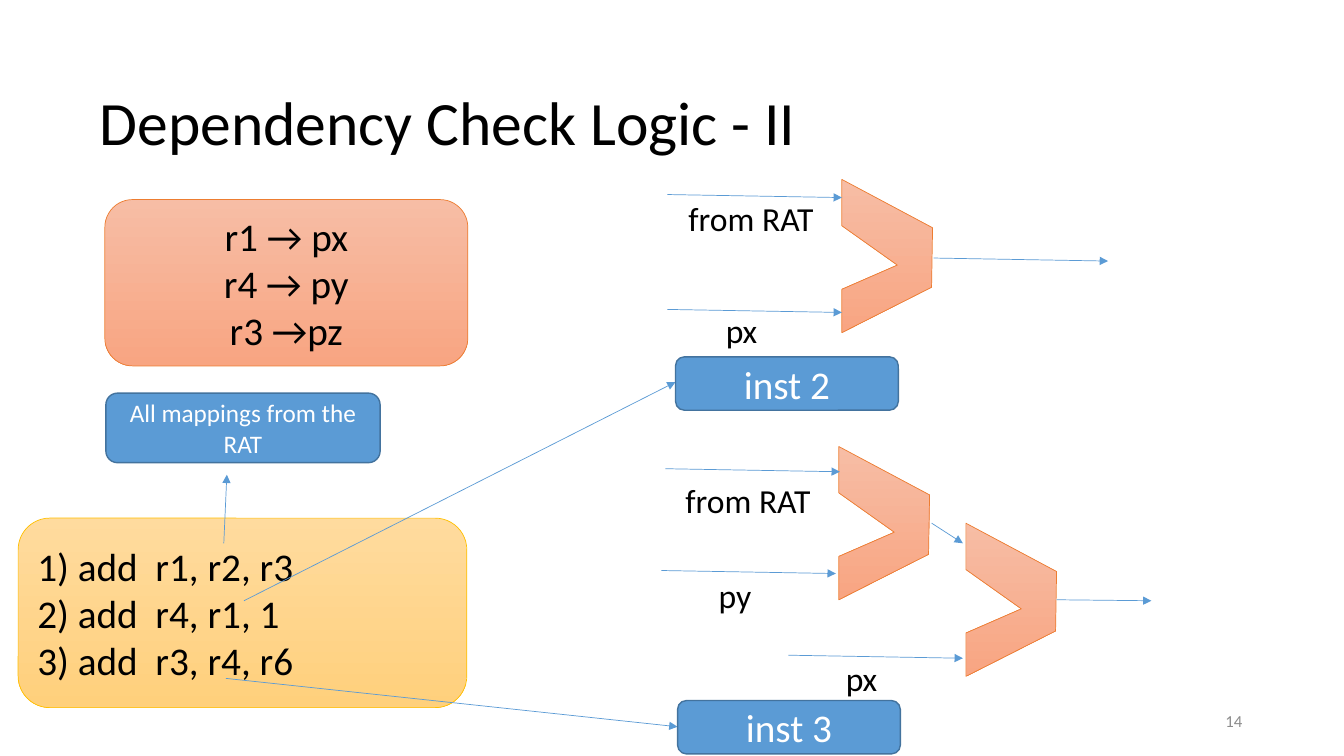
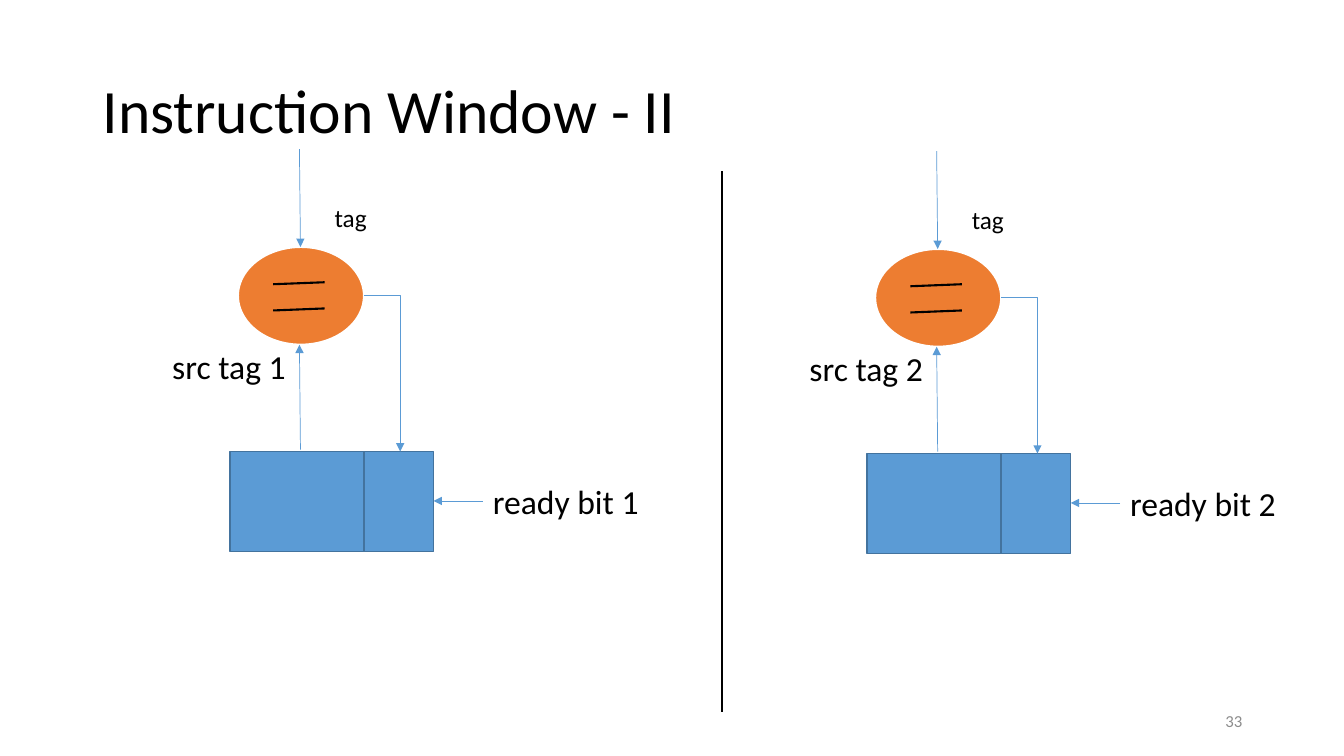
from pptx import Presentation
from pptx.dml.color import RGBColor
from pptx.enum.shapes import MSO_CONNECTOR, MSO_SHAPE
from pptx.enum.text import MSO_ANCHOR, PP_ALIGN
from pptx.oxml.ns import qn
from pptx.util import Inches, Pt
from lxml import etree

ROUND, RECT, OVAL = MSO_SHAPE.ROUNDED_RECTANGLE, MSO_SHAPE.RECTANGLE, MSO_SHAPE.OVAL
LINE, ELBOW = MSO_CONNECTOR.STRAIGHT, MSO_CONNECTOR.ELBOW
TOP, MID = MSO_ANCHOR.TOP, MSO_ANCHOR.MIDDLE
LEFT, MIDDLE, RIGHT = PP_ALIGN.LEFT, PP_ALIGN.CENTER, PP_ALIGN.RIGHT

HEX = {"black": "000000", "white": "FFFFFF", "grey": "8C8C8C",
       "blue": "5B9BD5", "navy": "43739E", "orange": "ED7D31", "gold": "FFC000",
       "peach": "F7BDA5", "coral": "F8A582", "cream": "FFDB9E", "amber": "FFD07C"}
FONT = "Calibri"

# Grid: one column and one row are an inch each
COLS, ROWS = 13.33, 7.5


def cells(*nums):
    return [Inches(n) for n in nums]


def color(name):
    return RGBColor.from_string(HEX[name])


# Shared parts
def write(shape, text, size=24, ink="black", align=LEFT, anchor=TOP, wrap=True, lead=None):
    frame = shape.text_frame
    frame.word_wrap = wrap
    frame.vertical_anchor = anchor
    frame.text = text
    for para in frame.paragraphs:
        para.alignment = align
        para.line_spacing = lead
        font = para.runs[0].font
        font.name, font.size = FONT, Pt(size)
        font.color.rgb = color(ink)


def label(slide, box, text, **form):
    write(slide.shapes.add_textbox(*cells(*box)), text, **form)


def paint(shape, fill, edge, width):
    shape.shadow.inherit = False
    if isinstance(fill, tuple):
        shape.fill.gradient()
        shape.fill.gradient_angle = 270
        for stop, name in zip(shape.fill.gradient_stops, fill):
            stop.color.rgb = color(name)
    else:
        shape.fill.solid()
        shape.fill.fore_color.rgb = color(fill)
    shape.line.color.rgb = color(edge)
    shape.line.width = Pt(width)


def block(slide, kind, box, fill="blue", edge="navy", width=1, text=None, **form):
    shape = slide.shapes.add_shape(kind, *cells(*box))
    paint(shape, fill, edge, width)
    if text:
        write(shape, text, anchor=MID, **form)


def link(slide, *ends, ink="blue", width=0.5, arrow=True, kind=LINE):
    wire = slide.shapes.add_connector(kind, *cells(*ends))
    wire.line.color.rgb = color(ink)
    wire.line.width = Pt(width)
    props = wire._element.spPr
    if kind == ELBOW:
        props.find(qn("a:prstGeom")).set("prst", "bentConnector2")
    if arrow:
        etree.SubElement(wire.line._get_or_add_ln(), qn("a:tailEnd"), type="triangle")
    etree.SubElement(props, qn("a:effectLst"))


def page(deck, title, x, y, num):
    slide = deck.slides.add_slide(deck.slide_layouts[6])
    label(slide, (x, y, 11.5, 1.45), title, size=44, anchor=MID, lead=0.9)
    label(slide, (9.42, 6.95, 3, 0.4), num, size=12, ink="grey", align=RIGHT, anchor=MID)
    return slide


# Dependency check: multiplexer and its inputs
def mux(slide, x, y):
    rim = [(0, 0), (0, 0.46), (0.55, 0.85), (0, 1.09),
           (0, 1.52), (0.89, 1.07), (0.9, 0.48)]
    dots = [cells(x + dx, y + dy) for dx, dy in rim]
    pen = slide.shapes.build_freeform(*dots[0])
    pen.add_line_segments(dots[1:], close=True)
    paint(pen.convert_to_shape(), ("peach", "coral"), "orange", 0.5)


def feed(slide, x, y, text, dx, dy, wide):
    link(slide, x, y, x + 1.73, y + 0.03)
    label(slide, (x + dx, y + dy, wide, 0.5), text, wrap=False)


def checks(slide):
    for spot in [(8.35, 1.78), (8.32, 4.43), (9.58, 5.19)]:
        mux(slide, *spot)
    for row in [(6.62, 1.93, "from RAT", 0.11, -0.02, 1.45),
                (6.62, 3.07, "px", 0.48, -0.04, 0.52),
                (6.6, 4.65, "from RAT", 0.1, 0.06, 1.45),
                (6.56, 5.66, "py", 0.47, -0.01, 0.53),
                (7.82, 6.5, "px", 0.47, -0.02, 0.52)]:
        feed(slide, *row)
    # Outputs
    for ends in [(9.26, 2.56, 10.99, 2.59), (9.24, 5.19, 9.55, 5.39),
                 (10.48, 5.95, 11.42, 5.96)]:
        link(slide, *ends)
    for x, y, text in [(6.7, 3.54, "inst 2"), (6.72, 6.95, "inst 3")]:
        block(slide, ROUND, (x, y, 2.21, 0.53), text=text, size=28,
              ink="white", align=MIDDLE)


# Dependency check: mappings and code
def code(slide):
    block(slide, ROUND, (1.04, 1.98, 3.6, 1.65), ("peach", "coral"), "orange", 0.5,
          "r1 → px\nr4 → py\nr3 →pz", size=28, align=MIDDLE)
    block(slide, ROUND, (1.05, 3.9, 2.72, 0.69), text="All mappings from the RAT",
          size=18, ink="white", align=MIDDLE)
    block(slide, ROUND, (0.18, 5.14, 4.45, 1.88), ("cream", "amber"), "gold", 0.5,
          "1) add  r1, r2, r3\n2) add  r4, r1, 1\n3) add  r3, r4, r6", size=28)
    for ends in [(2.22, 5.39, 2.25, 4.71), (2.42, 5.96, 6.7, 3.79),
                 (2.24, 6.73, 6.72, 7.21)]:
        link(slide, *ends)


# Instruction window: one source operand
def source(slide, x, y, num):
    # Entry and ready bit
    block(slide, RECT, (x + 0.67, y + 3, 1.33, 0.99))
    block(slide, RECT, (x + 2, y + 3, 0.69, 0.99))
    # Comparator
    block(slide, OVAL, (x + 0.75, y + 0.97, 1.25, 0.97), "orange", "white", 1.5)
    for bar in (1.34, 1.6):
        link(slide, x + 1.1, y + bar, x + 1.61, y + bar - 0.02,
             ink="black", width=1.5, arrow=False)
    # Wires
    link(slide, x + 1.36, y, x + 1.37, y + 0.97)
    link(slide, x + 1.37, y + 2.98, x + 1.36, y + 1.94)
    link(slide, x + 2, y + 1.45, x + 2.36, y + 3, kind=ELBOW)
    link(slide, x + 3.18, y + 3.49, x + 2.69, y + 3.49)
    # Labels
    label(slide, (x + 1.61, y + 0.48, 0.52, 0.4), "tag", size=18, wrap=False)
    label(slide, (x, y + 1.9, 1.34, 0.5), f"src tag {num}", wrap=False)
    label(slide, (x + 3.18, y + 3.24, 1.66, 0.5), f"ready bit {num}", wrap=False)


deck = Presentation()
deck.slide_width, deck.slide_height = cells(COLS, ROWS)

check = page(deck, "Dependency Check Logic - II", 0.89, 0.52, "14")
code(check)
checks(check)

window = page(deck, "Instruction Window - II", 0.92, 0.4, "33")
source(window, 1.61, 1.48, 1)
source(window, 7.93, 1.5, 2)
link(window, 7.16, 1.7, 7.16, 7.06, ink="black", width=1.5, arrow=False)

deck.save("out.pptx")
